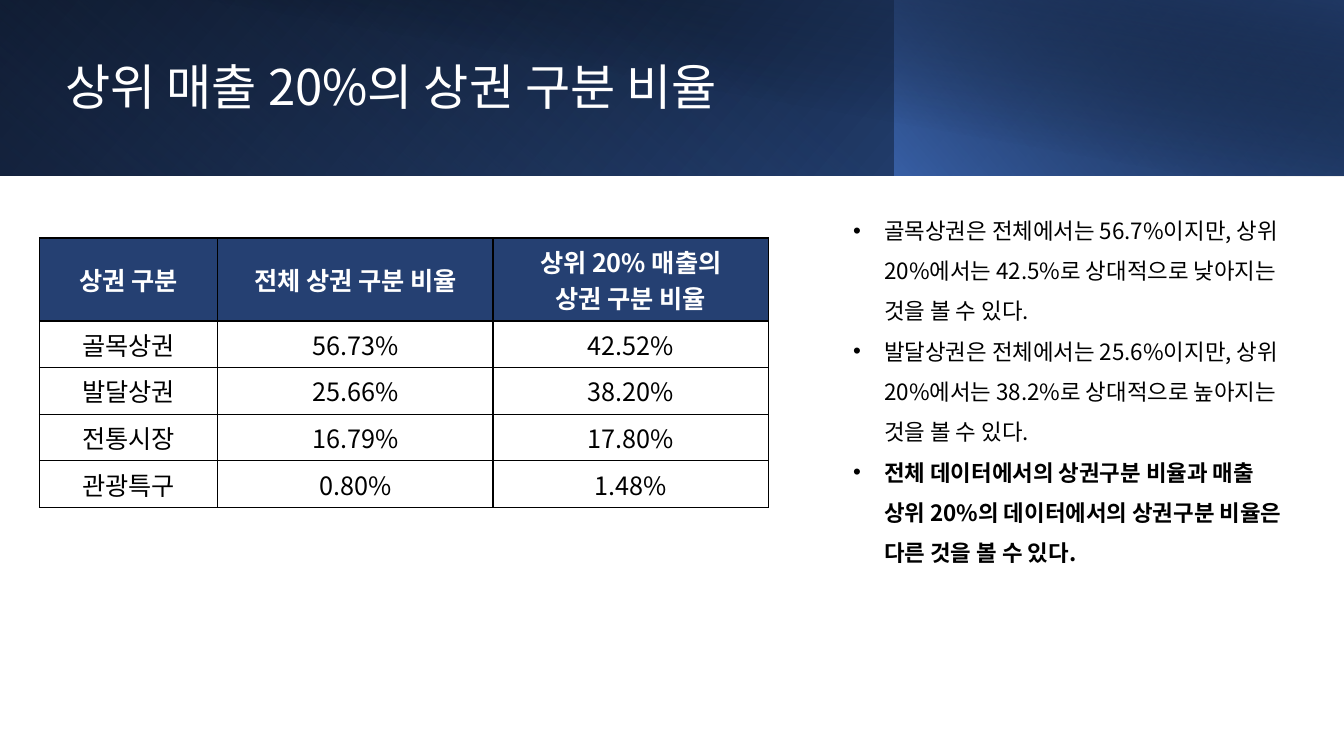
from dataclasses import dataclass

from lxml import etree
from pptx import Presentation
from pptx.dml.color import RGBColor
from pptx.enum.shapes import MSO_SHAPE
from pptx.enum.text import MSO_ANCHOR, MSO_AUTO_SIZE, PP_ALIGN
from pptx.oxml import parse_xml
from pptx.oxml.ns import nsdecls, qn
from pptx.util import Inches, Pt

RECTANGLE = MSO_SHAPE.RECTANGLE
MIDDLE, TOP = MSO_ANCHOR.MIDDLE, MSO_ANCHOR.TOP
LEFT, CENTER = PP_ALIGN.LEFT, PP_ALIGN.CENTER
GROW = MSO_AUTO_SIZE.SHAPE_TO_FIT_TEXT

TITLE = "상위 매출 20%의 상권 구분 비율"
TABLE = [
    ("상권 구분", "전체 상권 구분 비율", "상위 20% 매출의\n상권 구분 비율"),
    ("골목상권", "56.73%", "42.52%"),
    ("발달상권", "25.66%", "38.20%"),
    ("전통시장", "16.79%", "17.80%"),
    ("관광특구", "0.80%", "1.48%"),
]
# Text, bold
FINDINGS = [
    ("골목상권은 전체에서는 56.7%이지만, 상위 20%에서는 42.5%로 상대적으로 낮아지는 것을 볼 수 있다.", False),
    ("발달상권은 전체에서는 25.6%이지만, 상위 20%에서는 38.2%로 상대적으로 높아지는 것을 볼 수 있다.", False),
    ("전체 데이터에서의 상권구분 비율과 매출 상위 20%의 데이터에서의 상권구분 비율은 다른 것을 볼 수 있다.", True),
]


@dataclass(frozen=True)
class Theme:
    font: str = "Noto Sans CJK KR"
    title_size: float = 35.1
    table_size: float = 18
    body_size: float = 16
    white: str = "FFFFFF"
    black: str = "000000"
    header: str = "254072"
    blue: str = "4472C4"
    royal: str = "2F5597"
    navy: str = "203864"


THEME = Theme()

# All areas are left, top, width, height in percent of the slide
TITLE_AREA = (4.13, 4.27, 95.95, 15.07)
TABLE_AREA = (2.93, 31.47, 54.24, 32.53)
BODY_AREA = (62.72, 26.27, 34.58, 49.07)
COLUMN_SHARES = (13.28, 20.48, 20.48)
ROW_SHARES = (9.87,) + (5.73,) * 4
# Area, mirrored, rotation, gradient angle, stops of position, colour, opacity
BANDS = [
    ((0, 0, 100, 23.2), True, 0, 140,
     [(0, THEME.black, 100), (100, THEME.royal, 100)]),
    ((0, 0, 66.6, 23.2), True, 180, 230,
     [(20, THEME.blue, 0), (100, THEME.navy, 55)]),
    ((66.54, 0, 33.46, 23.2), True, 0, 220,
     [(0, THEME.blue, 66), (100, THEME.black, 30)]),
    ((3.75, 0, 96.25, 23.3), False, 0, 280,
     [(50, THEME.black, 0), (99, THEME.navy, 52)]),
]

deck = Presentation()
deck.slide_width, deck.slide_height = Inches(13.33), Inches(7.5)
page = deck.slides.add_slide(deck.slide_layouts[1])


def across(share):
    return round(deck.slide_width * share / 100)


def down(share):
    return round(deck.slide_height * share / 100)


def place(area):
    left, top, width, height = area
    return across(left), down(top), across(width), down(height)


def move(box, area):
    box.left, box.top, box.width, box.height = place(area)


def style(para, size, color, align, bold=False, spacing=1.0):
    para.alignment, para.line_spacing = align, spacing
    para.space_before = Pt(0)
    font = para.font
    font.size, font.bold, font.name = Pt(size), bold, THEME.font
    font.color.rgb = RGBColor.from_string(color)
    defaults = para.font.fill and para._p.pPr.find(qn("a:defRPr"))
    etree.SubElement(defaults, qn("a:ea")).set("typeface", THEME.font)


def add_band(area, mirrored, rotation, angle, stops):
    band = page.shapes.add_shape(RECTANGLE, *place(area))
    band.shadow.inherit = False
    band.line.fill.background()
    band.rotation = rotation
    properties = band.element.spPr
    if mirrored:
        properties.find(qn("a:xfrm")).set("flipH", "1")
    stop_xml = "".join(
        f'<a:gs pos="{position * 1000}"><a:srgbClr val="{color}">'
        f'<a:alpha val="{opacity * 1000}"/></a:srgbClr></a:gs>'
        for position, color, opacity in stops)
    gradient = parse_xml(
        f'<a:gradFill {nsdecls("a")}><a:gsLst>{stop_xml}</a:gsLst>'
        f'<a:lin ang="{angle * 60000}" scaled="0"/></a:gradFill>')
    properties.find(qn("a:prstGeom")).addnext(gradient)


def add_borders(cell):
    properties = cell._tc.get_or_add_tcPr()
    for side in ("lnL", "lnR", "lnT", "lnB"):
        properties.append(parse_xml(
            f'<a:{side} {nsdecls("a")} w="{Pt(1)}"><a:solidFill>'
            f'<a:srgbClr val="{THEME.black}"/></a:solidFill></a:{side}>'))


def add_ratio_table():
    table = page.shapes.add_table(
        len(TABLE), len(TABLE[0]), *place(TABLE_AREA)).table
    for column, share in zip(table.columns, COLUMN_SHARES):
        column.width = across(share)
    for row_index, (row, share) in enumerate(zip(table.rows, ROW_SHARES)):
        row.height = down(share)
        is_header = row_index == 0
        fill = THEME.header if is_header else THEME.white
        color = THEME.white if is_header else THEME.black
        for cell, text in zip(row.cells, TABLE[row_index]):
            cell.text = text
            cell.vertical_anchor = MIDDLE
            add_borders(cell)
            cell.fill.solid()
            cell.fill.fore_color.rgb = RGBColor.from_string(fill)
            for para in cell.text_frame.paragraphs:
                style(para, THEME.table_size, color, CENTER, is_header)


def fill_title(title):
    move(title, TITLE_AREA)
    frame = title.text_frame
    frame.text = TITLE
    frame.vertical_anchor, frame.word_wrap = MIDDLE, True
    frame.auto_size = MSO_AUTO_SIZE.NONE
    style(frame.paragraphs[0], THEME.title_size, THEME.white, LEFT, spacing=0.9)


def fill_findings(body):
    move(body, BODY_AREA)
    frame = body.text_frame
    frame.text = "\n".join(text for text, _ in FINDINGS)
    frame.vertical_anchor, frame.word_wrap = TOP, True
    frame.auto_size = GROW
    for para, (_, bold) in zip(frame.paragraphs, FINDINGS):
        properties = para._p.get_or_add_pPr()
        properties.set("marL", str(Inches(0.31)))
        properties.set("indent", str(-Inches(0.31)))
        etree.SubElement(properties, qn("a:buChar")).set("char", "•")
        style(para, THEME.body_size, THEME.black, LEFT, bold, 1.5)


for band in BANDS:
    add_band(*band)
title, body = page.shapes.title, page.placeholders[1]
fill_title(title)
add_ratio_table()
fill_findings(body)
# Bring the text in front of the bands
for box in (title, body):
    box.element.getparent().append(box.element)

deck.save("out.pptx")
